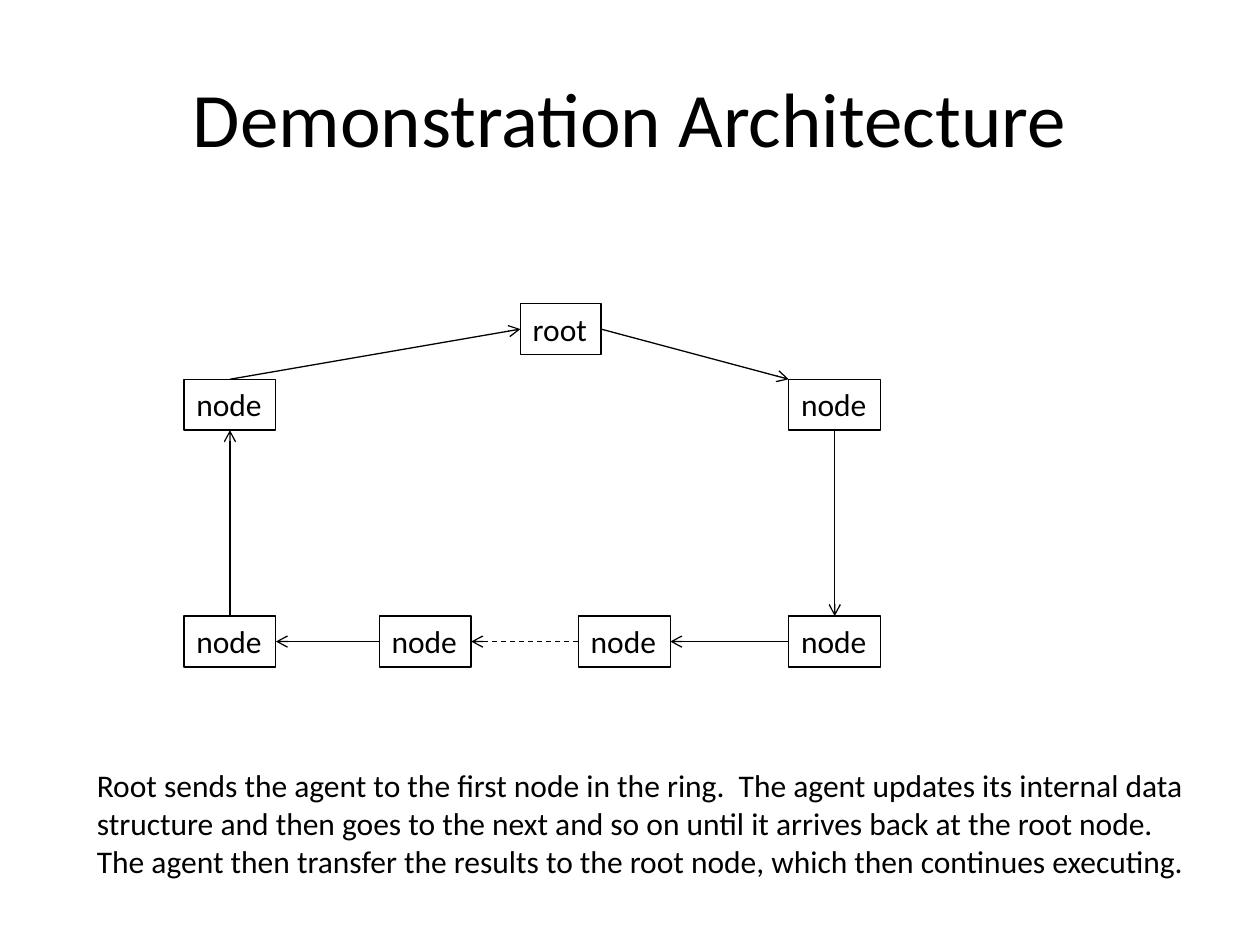
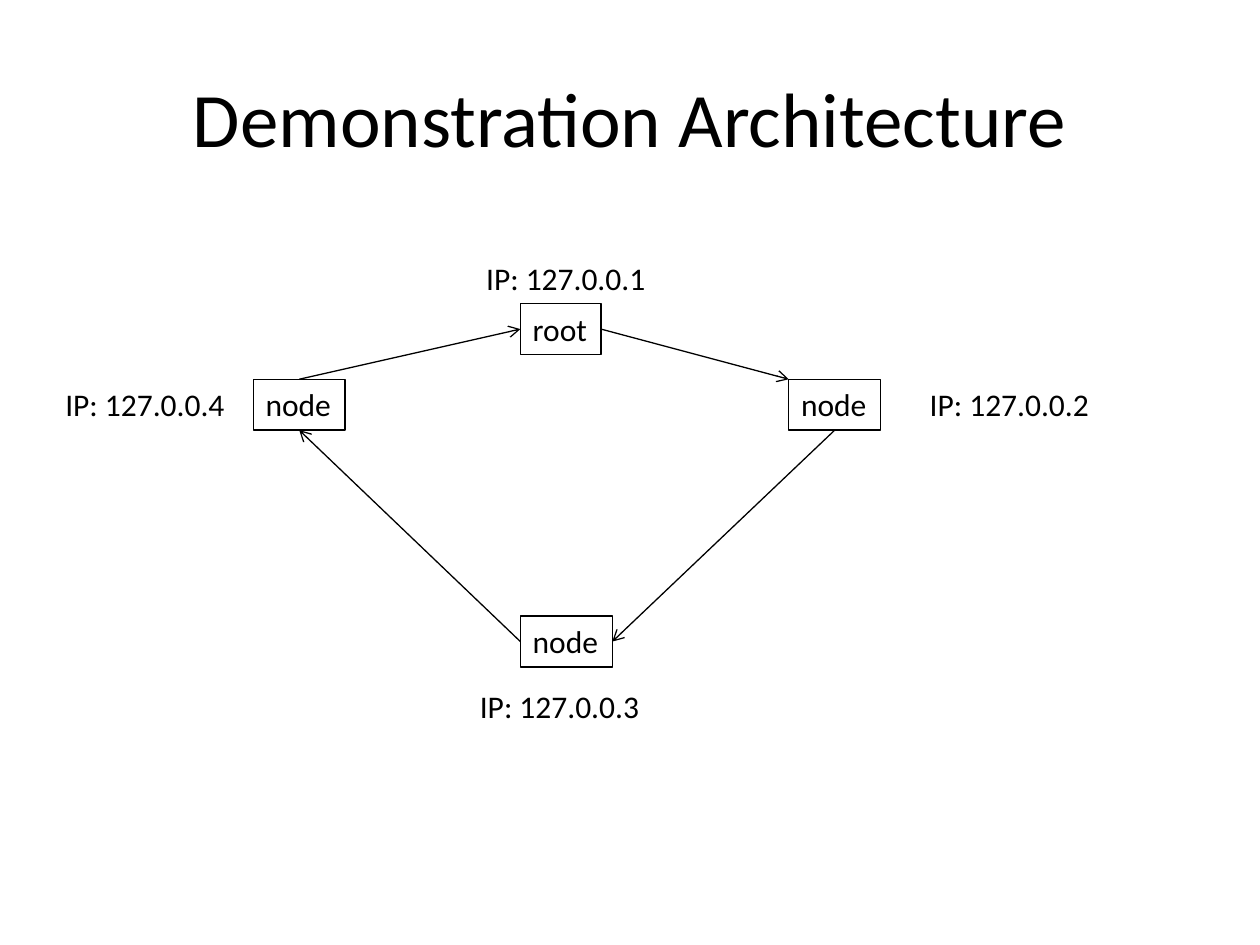
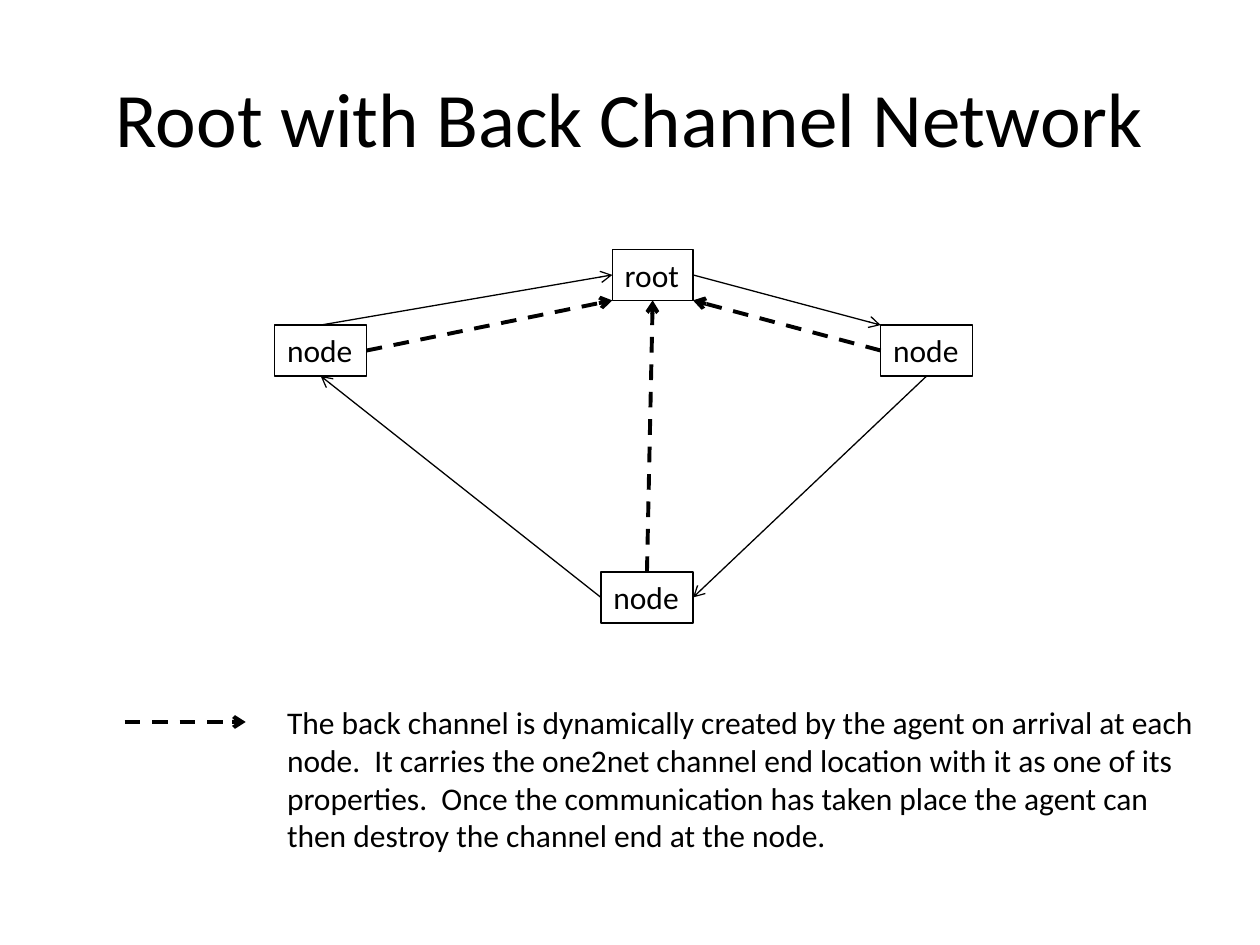
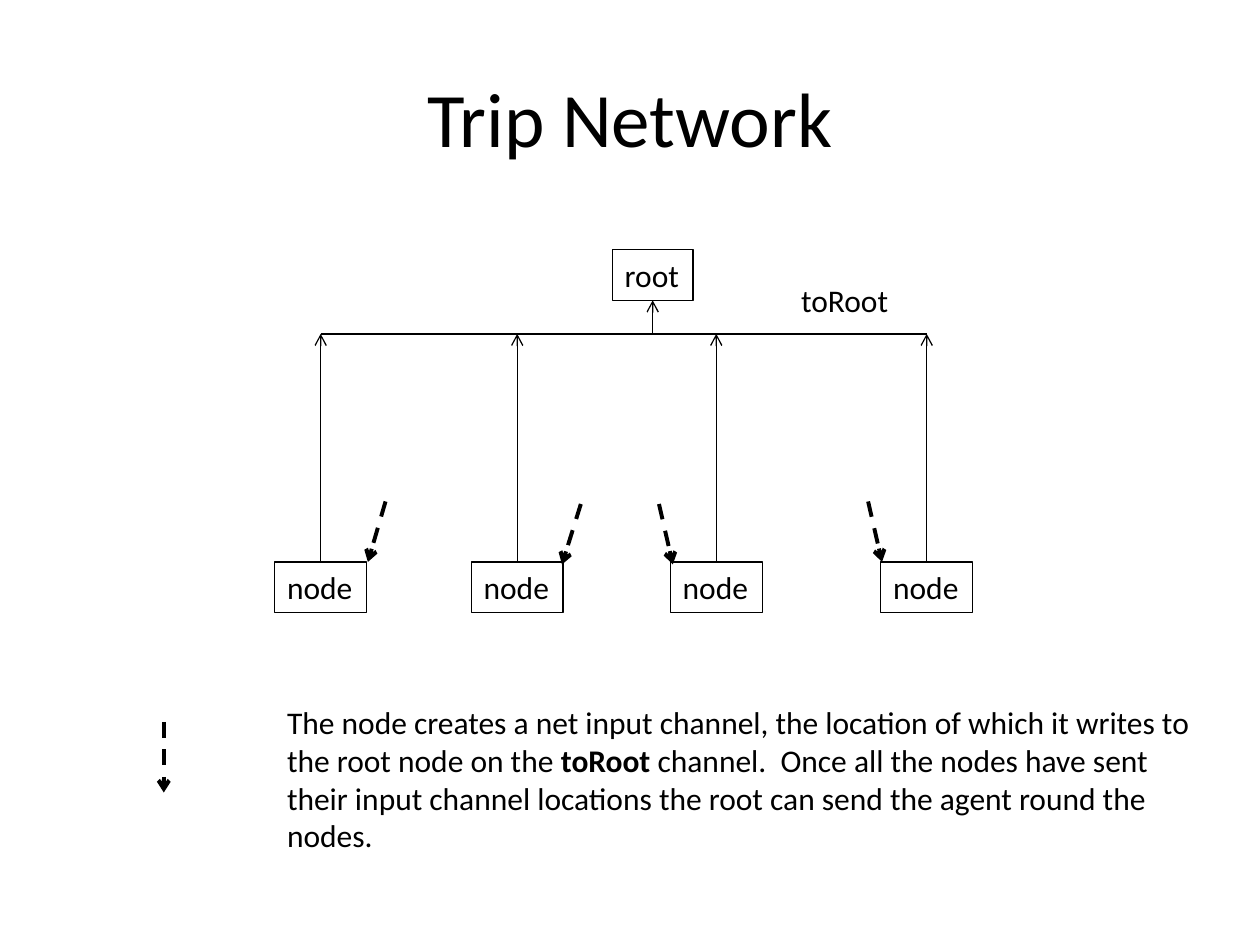
from pptx import Presentation
from pptx.dml.color import RGBColor
from pptx.enum.dml import MSO_LINE
from pptx.enum.shapes import MSO_CONNECTOR
from pptx.enum.text import MSO_ANCHOR, MSO_AUTO_SIZE, PP_ALIGN
from pptx.oxml.ns import qn
from pptx.util import Inches, Pt
from lxml.etree import SubElement

COLORS = {"ink": "000000", "paper": "FFFFFF"}
INK = RGBColor.from_string(COLORS["ink"])
FONT = "Calibri"
TITLE_SIZE, TEXT_SIZE = Pt(44), Pt(18)
THIN, THICK = Pt(0.75), Pt(2.25)

presentation = Presentation()
presentation.slide_width, presentation.slide_height = Inches(10), Inches(7.5)

# Grid of 100 columns by 75 rows; every position below counts in these.
COLUMN = presentation.slide_width / 100
ROW = presentation.slide_height / 75
LABEL_HEIGHT = 4.04
LABEL_WIDTHS = {"root": 6.4, "node": 7.3, "toRoot": 9}
ADDRESS_WIDTH = 14.8

# Points on a box, as shares of its width and height.
TOP, LEFT, BOTTOM, RIGHT = (0.5, 0), (0, 0.5), (0.5, 1), (1, 0.5)
TOP_LEFT, BOTTOM_LEFT, BOTTOM_RIGHT = (0, 0), (0, 1), (1, 1)
SITES = [TOP, LEFT, BOTTOM, RIGHT]


def add_text(slide, pieces, column, row, width=None, height=LABEL_HEIGHT, border=False):
    """Add a text box; without a width it is a one-line label. Odd pieces are bold."""
    label_width = LABEL_WIDTHS.get(pieces[0], ADDRESS_WIDTH)
    box = slide.shapes.add_textbox(
        round(column * COLUMN), round(row * ROW),
        round((width or label_width) * COLUMN), round(height * ROW))
    frame = box.text_frame
    frame.word_wrap = width is not None
    frame.auto_size = MSO_AUTO_SIZE.SHAPE_TO_FIT_TEXT
    for number, piece in enumerate(pieces):
        run = frame.paragraphs[0].add_run()
        run.text = piece
        run.font.name, run.font.size = FONT, TEXT_SIZE
        run.font.bold = number % 2 == 1
        run.font.color.rgb = INK
    if border:
        box.line.color.rgb, box.line.width = INK, THIN
    return box


def add_line(slide, start, end, width=THIN, dashed=False, arrow=True):
    """Draw a line between two ends: (column, row) or (box, point on the box)."""
    ends = []
    for first, second in (start, end):
        if isinstance(second, tuple):
            ends += [round(first.left + second[0] * first.width),
                     round(first.top + second[1] * first.height)]
        else:
            ends += [round(first * COLUMN), round(second * ROW)]
    line = slide.shapes.add_connector(MSO_CONNECTOR.STRAIGHT, *ends)
    if start[1] in SITES:
        line.begin_connect(start[0], SITES.index(start[1]))
    if end[1] in SITES:
        line.end_connect(end[0], SITES.index(end[1]))
    line.line.color.rgb, line.line.width = INK, width
    if dashed:
        line.line.dash_style = MSO_LINE.DASH
    properties = line._element.spPr
    if arrow:
        SubElement(properties.find(qn("a:ln")), qn("a:tailEnd"), type="arrow")
    SubElement(properties, qn("a:effectLst"))


# Slides with their titles
slides = []
for title_text in ["Demonstration Architecture", "Demonstration Architecture",
                   "Root with Back Channel Network", "Trip Network"]:
    slide = presentation.slides.add_slide(presentation.slide_layouts[5])
    slide.background.fill.solid()
    slide.background.fill.fore_color.rgb = RGBColor.from_string(COLORS["paper"])
    title = slide.shapes.title
    title.left, title.top = round(5 * COLUMN), round(3 * ROW)
    title.width, title.height = round(90 * COLUMN), round(12.5 * ROW)
    title.text_frame.text = title_text
    title.text_frame.vertical_anchor = MSO_ANCHOR.MIDDLE
    paragraph = title.text_frame.paragraphs[0]
    paragraph.alignment = PP_ALIGN.CENTER
    font = paragraph.runs[0].font
    font.name, font.size, font.color.rgb = FONT, TITLE_SIZE, INK
    slides.append(slide)
ring_slide, address_slide, channel_slide, trip_slide = slides

# Upper part of the three rings: left node -> root -> right node
rings = []
for slide, root_place, right_place, left_place in [
        (ring_slide, (41.3, 24.1), (62.6, 30.1), (14.6, 30.1)),
        (address_slide, (41.3, 24.1), (62.6, 30.1), (20.1, 30.1)),
        (channel_slide, (48.6, 19.8), (69.9, 25.8), (21.8, 25.8))]:
    root = add_text(slide, ["root"], *root_place, border=True)
    right = add_text(slide, ["node"], *right_place, border=True)
    left = add_text(slide, ["node"], *left_place, border=True)
    add_line(slide, (root, RIGHT), (right, TOP_LEFT))
    add_line(slide, (left, TOP), (root, LEFT))
    rings.append((root, right, left))

# Slide 1: lower row of the ring, from right to left
root, right, left = rings[0]
lower = [add_text(ring_slide, ["node"], column, 48.9, border=True)
         for column in (62.6, 45.9, 30.1, 14.6)]
add_line(ring_slide, (right, BOTTOM), (lower[0], TOP))
for number, (sender, receiver) in enumerate(zip(lower, lower[1:])):
    add_line(ring_slide, (sender, LEFT), (receiver, RIGHT), dashed=number == 1)
add_line(ring_slide, (lower[-1], TOP), (left, BOTTOM))
add_text(ring_slide, [
    "Root sends the agent to the first node in the ring.  The agent updates its "
    "internal data structure and then goes to the next and so on until it arrives "
    "back at the root node.  The agent then transfer the results to the root node, "
    "which then continues executing."], 6.7, 60.3, 89.8, 10.1)

# Slides 2 and 3: a single bottom node closes the ring
bottoms = []
for slide, (root, right, left), place in zip(
        slides[1:3], rings[1:], [(41.3, 48.9), (47.7, 45.4)]):
    bottom = add_text(slide, ["node"], *place, border=True)
    add_line(slide, (right, BOTTOM), (bottom, RIGHT))
    add_line(slide, (bottom, LEFT), (left, BOTTOM))
    bottoms.append(bottom)

# Slide 2: addresses
for address, place in [("127.0.0.1", (37.6, 20.1)), ("127.0.0.2", (72.8, 30.1)),
                       ("127.0.0.4", (4.2, 30.1)), ("127.0.0.3", (37.1, 54))]:
    add_text(address_slide, [f"IP: {address}"], *place)

# Slide 3: back channels and their key
root, right, left = rings[2]
for start, end in [((bottoms[1], TOP), (root, BOTTOM)),
                   ((right, LEFT), (root, BOTTOM_RIGHT)),
                   ((left, RIGHT), (root, BOTTOM_LEFT)),
                   ((9.9, 57.3), (19.5, 57.3))]:
    add_line(channel_slide, start, end, THICK, dashed=True)

# Slide 4: nodes feed a shared bus up to the root
BUS_ROW, NODE_ROW = 26.5, 44.6
root = add_text(trip_slide, ["root"], 48.6, 19.8, border=True)
node_columns = [21.8, 37.4, 53.2, 69.9]
centers = [column + LABEL_WIDTHS["node"] / 2 for column in node_columns]
for column, center in zip(node_columns, centers):
    node = add_text(trip_slide, ["node"], column, NODE_ROW, border=True)
    add_line(trip_slide, (node, TOP), (center, BUS_ROW))
add_line(trip_slide, (51.8, BUS_ROW), (root, BOTTOM))
add_line(trip_slide, (centers[0], BUS_ROW), (centers[-1], BUS_ROW), arrow=False)
add_text(trip_slide, ["toRoot"], 62.6, 21.8)

# Slide 4: net input channels, leaning in to the nodes, and their key
for column, row, lean in [(29.2, 44.6, 1.4), (44.6, 44.8, 1.5),
                          (53.4, 44.8, -1.1), (70, 44.6, -1.1)]:
    add_line(trip_slide, (column + lean, row - 4.8), (column, row), THICK, dashed=True)
add_line(trip_slide, (13, 57.3), (13, 62.9), THICK, dashed=True)

# Slides 3 and 4: explanations beside the keys
for slide, pieces in [
        (channel_slide, [
            "The back channel is dynamically created by the agent on arrival at each "
            "node.  It carries the one2net channel end location with it as one of its "
            "properties.  Once the communication has taken place the agent can then "
            "destroy the channel end at the node."]),
        (trip_slide, [
            "The node creates a net input channel, the location of which it writes to "
            "the root node on the ",
            "toRoot",
            " channel.  Once all the nodes have sent their input channel locations the "
            "root can send the agent round the nodes."])]:
    add_text(slide, pieces, 21.8, 55.3, 74.6, 13.1)

presentation.save("out.pptx")
